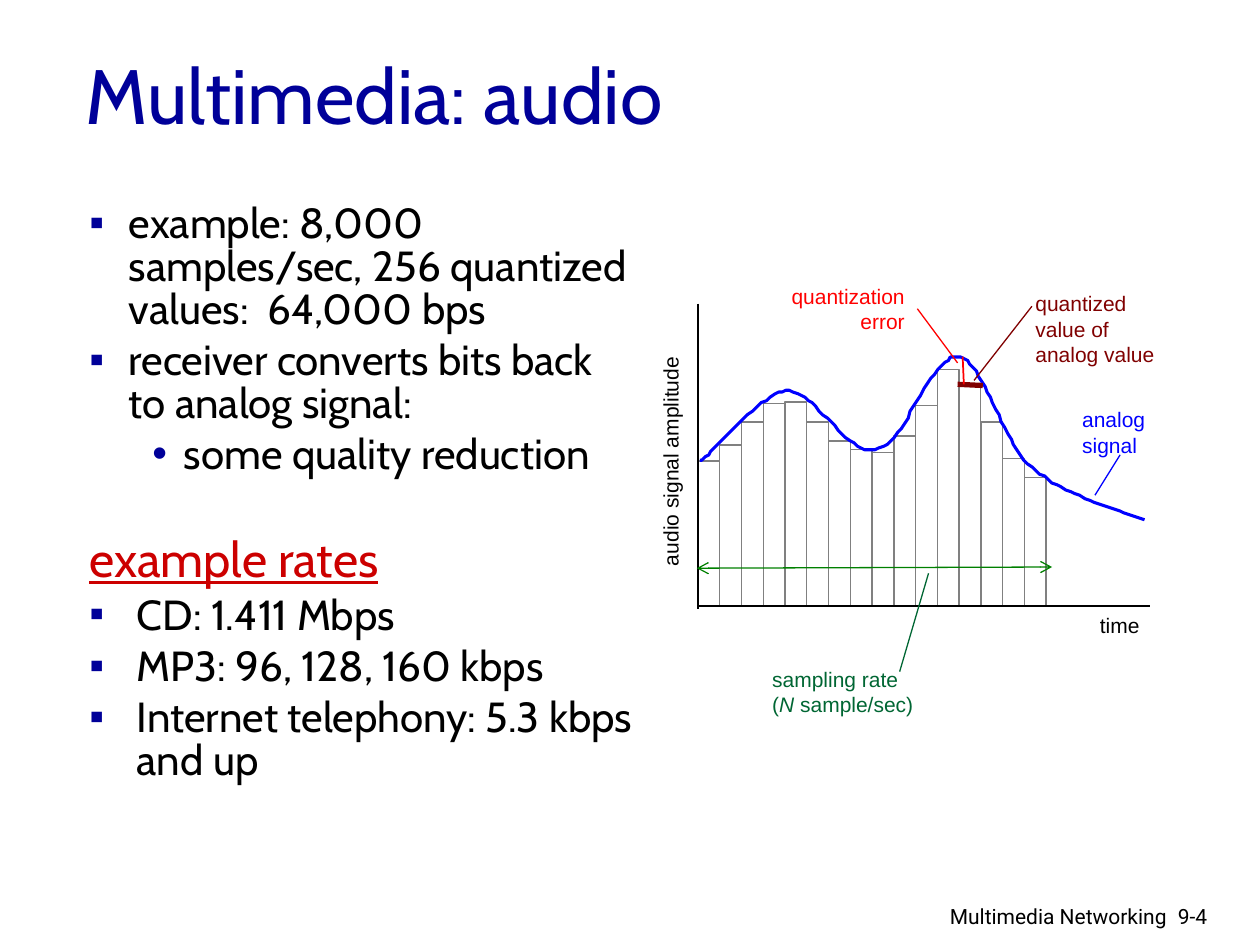
from lxml.etree import SubElement
from pptx import Presentation
from pptx.dml.color import RGBColor
from pptx.enum.shapes import MSO_CONNECTOR, MSO_SHAPE
from pptx.enum.text import MSO_ANCHOR, MSO_AUTO_SIZE, PP_ALIGN
from pptx.oxml.ns import qn
from pptx.util import Pt

BLACK, NAVY, RED, MAROON, BLUE = "000000", "000099", "FF0000", "800000", "0000FF"
GREEN, FOREST, GRAY = "008000", "006633", "808080"

TITLE = "Multimedia: audio"
POINT = dict(bullet="▪", margin=22.5, hang=22.5)
DETAIL = dict(bullet="•", margin=54, hang=18, level=1)
RATE = dict(bullet="▪", margin=27, hang=27)
HEADING = dict(margin=27, hang=27, size=28, color="CC0000", underline=True, before=34)
BODY = [
    ("example: 8,000 samples/sec, 256 quantized values:  64,000 bps", POINT),
    ("receiver converts bits back to analog signal:", POINT),
    ("some quality reduction", DETAIL),
    ("example rates", HEADING),
    ("CD: 1.411 Mbps", RATE),
    ("MP3: 96, 128, 160 kbps", RATE),
    ("Internet telephony: 5.3 kbps and up", RATE),
]

BAR_LEFT, BAR_STEP, BAR_BASE = 398.9, 12.43, 346.3
BAR_TOPS = [263.5, 254.2, 241.2, 230.4, 229.7, 241.2, 252, 257,
            258.5, 249.1, 231.8, 211, 220.3, 241.2, 262.1, 272.9]

SIGNAL_START = (399.6, 262.8)
SIGNAL_CURVES = [
    ((402.5, 266.4), (432.7, 224.6), (449.3, 223.2)),
    ((465.8, 222.5), (483.8, 260.6), (500.4, 257)),
    ((517, 254.2), (532.1, 202.3), (547.2, 203.8)),
    ((562.3, 205.9), (571.7, 251.3), (589.7, 267.1)),
    ((607, 282.2), (631.4, 288.7), (653.8, 296.6)),
]

LINES = [
    ((398.9, 173.5), (398.9, 347.8), BLACK, 0.75, False),
    ((398.9, 346.3), (657.4, 346.3), BLACK, 0.75, False),
    ((640.1, 259.9), (625.7, 283), BLUE, 0.75, False),
    ((547.2, 219.6), (561.6, 220.3), MAROON, 3, False),
    ((589.7, 175), (556.6, 217.4), MAROON, 0.75, False),
    ((550.1, 203.8), (550.8, 219.6), RED, 1, False),
    ((524.2, 176.4), (547.2, 207.4), RED, 0.75, False),
    ((398.2, 324.7), (601.2, 324), GREEN, 0.75, True),
    ((514.1, 383.8), (530.6, 327.6), FOREST, 0.75, False),
]

LABELS = [
    (["time"], (621.4, 346.3, 37.4, 21.6), dict(wrap=False)),
    (["audio signal amplitude"], (315.4, 252, 135.4, 21.6), dict(wrap=False, rotation=270)),
    (["analog", "signal"], (611.3, 229, 51.1, 36), dict(color=BLUE, wrap=False)),
    (["quantized value of", "analog value"], (584.6, 162.7, 92.2, 51.1), dict(color=MAROON)),
    (["quantization error"], (437, 158.4, 87.1, 36), dict(color=RED, align=PP_ALIGN.RIGHT)),
    (["sampling rate", [("(", False), ("N ", True), ("sample/sec)", False)]],
     (434.2, 377.3, 134.6, 36), dict(color=FOREST)),
    (["9-4"], (666, 512.6, 54, 21.6), dict(font="Roboto")),
    (["Multimedia Networking"], (518.4, 512.6, 155.5, 20.2),
     dict(font="Roboto", align=PP_ALIGN.RIGHT)),
]


def paint(target, color):
    target.rgb = RGBColor.from_string(color)


def place(shape, left, top, width, height):
    shape.left, shape.top, shape.width, shape.height = map(Pt, (left, top, width, height))


def write(para, text, font="Arial", size=12, color=BLACK, align=PP_ALIGN.LEFT, underline=None):
    para.alignment = align
    for words, italic in [(text, None)] if isinstance(text, str) else text:
        span = para.add_run()
        span.text = words
        span.font.name, span.font.size = font, Pt(size)
        span.font.italic, span.font.underline = italic, underline
        paint(span.font.color, color)


def set_bullet(para, bullet, margin, hang):
    properties = para._p.get_or_add_pPr()
    properties.set("marL", str(Pt(margin)))
    properties.set("indent", str(-Pt(hang)))
    if not bullet:
        SubElement(properties, qn("a:buNone"))
        return
    color = SubElement(properties, qn("a:buClr"))
    SubElement(color, qn("a:srgbClr"), val=NAVY)
    SubElement(properties, qn("a:buFont"), typeface="Arial")
    SubElement(properties, qn("a:buChar"), char=bullet)


def add_body(frame):
    frame.auto_size = MSO_AUTO_SIZE.NONE
    for index, (text, style) in enumerate(BODY):
        style = dict(style)
        para = frame.add_paragraph() if index else frame.paragraphs[0]
        para.level = style.pop("level", 0)
        set_bullet(para, style.pop("bullet", None), style.pop("margin"), style.pop("hang"))
        para.line_spacing = 0.85
        para.space_before = Pt(style.pop("before", 4.8) if index else 0)
        write(para, text, **{"font": "Cabin", "size": 24, **style})


def add_label(page, paragraphs, area, wrap=True, rotation=0, **style):
    box = page.shapes.add_textbox(*map(Pt, area))
    box.rotation = rotation
    frame = box.text_frame
    frame.word_wrap = wrap
    for index, text in enumerate(paragraphs):
        write(frame.add_paragraph() if index else frame.paragraphs[0], text, **style)


def add_line(page, start, end, color, width, arrows):
    line = page.shapes.add_connector(MSO_CONNECTOR.STRAIGHT, *map(Pt, start + end))
    paint(line.line.color, color)
    line.line.width = Pt(width)
    if arrows:
        outline = line.line._get_or_add_ln()
        for tag in ("a:headEnd", "a:tailEnd"):
            SubElement(outline, qn(tag), type="arrow")
    SubElement(line._element.spPr, qn("a:effectLst"))


def outline_only(shape, color, width):
    shape.shadow.inherit = False
    shape.fill.background()
    paint(shape.line.color, color)
    shape.line.width = Pt(width)


def curve_points(start, curves, steps=24):
    points = []
    for first, second, end in curves:
        for step in range(1, steps + 1):
            t = step / steps
            points.append(tuple(
                (1 - t) ** 3 * a + 3 * (1 - t) ** 2 * t * b + 3 * (1 - t) * t ** 2 * c + t ** 3 * d
                for a, b, c, d in zip(start, first, second, end)))
        start = end
    return points


def main():
    deck = Presentation()
    deck.slide_width, deck.slide_height = Pt(720), Pt(540)
    page = deck.slides.add_slide(deck.slide_layouts[1])

    title, body = page.placeholders
    place(title, 41.8, 8.6, 391.7, 90)
    title.text_frame.auto_size = MSO_AUTO_SIZE.NONE
    title.text_frame.vertical_anchor = MSO_ANCHOR.MIDDLE
    write(title.text_frame.paragraphs[0], TITLE, font="Cabin", size=44, color=NAVY)
    place(body, 43.9, 113, 326.9, 365.8)
    add_body(body.text_frame)

    for index, top in enumerate(BAR_TOPS):
        area = (BAR_LEFT + index * BAR_STEP, top, BAR_STEP, BAR_BASE - top)
        bar = page.shapes.add_shape(MSO_SHAPE.RECTANGLE, *map(Pt, area))
        outline_only(bar, GRAY, 0.75)

    builder = page.shapes.build_freeform(*SIGNAL_START, scale=Pt(1))
    builder.add_line_segments(curve_points(SIGNAL_START, SIGNAL_CURVES), close=False)
    outline_only(builder.convert_to_shape(), BLUE, 1.75)

    for line in LINES:
        add_line(page, *line)
    for paragraphs, area, style in LABELS:
        add_label(page, paragraphs, area, **style)

    deck.save("out.pptx")


if __name__ == "__main__":
    main()
